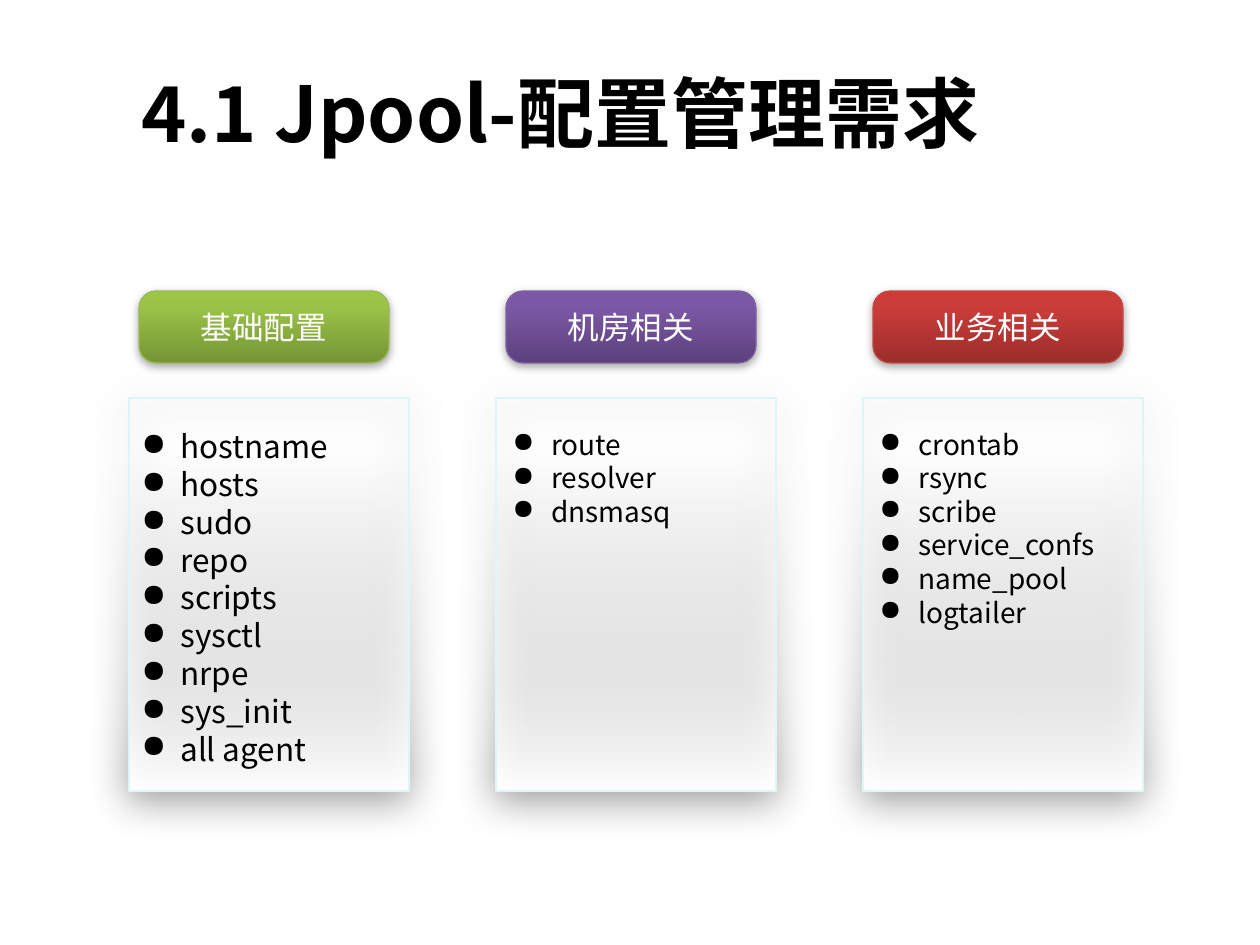
from dataclasses import dataclass

from lxml.etree import SubElement
from pptx import Presentation
from pptx.dml.color import RGBColor
from pptx.enum.shapes import MSO_SHAPE
from pptx.enum.text import MSO_ANCHOR, MSO_AUTO_SIZE, PP_ALIGN
from pptx.oxml import parse_xml
from pptx.oxml.ns import nsdecls, qn
from pptx.util import Emu, Pt

PX = 914400 / 126
FONT = "Noto Sans CJK SC"
COLUMN_LEFT, COLUMN_STEP = 129, 367


@dataclass(frozen=True)
class Stop:
    """One gradient stop, with position and opacity in percent."""
    position: int
    color: str
    opacity: int = 100


@dataclass(frozen=True)
class Style:
    """Gradient, outline and shadow of a shape."""
    stops: tuple[Stop, ...]
    angle: int
    line: str
    line_width: float
    shadow: tuple[int, float, float, int]


@dataclass(frozen=True)
class Column:
    """A heading with its list of items."""
    heading: str
    items: tuple[str, ...]
    size: int
    indent: int
    list_height: int
    gradient: tuple[str, str, str]
    line: str


PANEL = Style((Stop(12, "FFFFFF", 0), Stop(72, "FFFFFF", 55), Stop(100, "FFFFFF")),
              90, "DFF6F8", 1.25, (41, 23, 5, 96))
COLUMNS = (
    Column("基础配置", ("hostname", "hosts", "sudo", "repo", "scripts", "sysctl",
                    "nrpe", "sys_init", "all agent"),
           18, 0, 357, ("769535", "9BC348", "9CC746"), "98B954"),
    Column("机房相关", ("route", "resolver", "dnsmasq"),
           16, 4, 183, ("5D417E", "7B58A6", "7B57A8"), "7D60A0"),
    Column("业务相关", ("crontab", "rsync", "scribe", "service_confs", "name_pool", "logtailer"),
           16, 4, 251, ("9B2D2A", "CB3D3A", "CE3B37"), "BE4B48"),
)


def px(*lengths: int) -> list[Emu]:
    """Turn pixel lengths into EMU."""
    return [Emu(round(length * PX)) for length in lengths]


def color(value: str) -> RGBColor:
    """Turn a hex string into a colour."""
    return RGBColor.from_string(value)


def write(paragraph, text: str, size: int, tint: str, bold: bool = False) -> None:
    """Add one formatted span to a paragraph."""
    span = paragraph.add_run()
    span.text = text
    for name, value in {"name": FONT, "size": Pt(size), "bold": bold}.items():
        setattr(span.font, name, value)
    span.font.color.rgb = color(tint)
    SubElement(span.font._element, qn("a:ea")).set("typeface", FONT)


def add_text_box(page, area: tuple[int, int, int, int]):
    """Add a wrapping text box and return its frame."""
    frame = page.shapes.add_textbox(*px(*area)).text_frame
    for name, value in {"word_wrap": True, "auto_size": MSO_AUTO_SIZE.SHAPE_TO_FIT_TEXT}.items():
        setattr(frame, name, value)
    return frame


def add_block(page, area: tuple[int, int, int, int], rounding: float, style: Style):
    """Add a rounded rectangle with gradient, outline and shadow."""
    block = page.shapes.add_shape(MSO_SHAPE.ROUNDED_RECTANGLE, *px(*area))
    block.adjustments[0] = rounding
    block.line.color.rgb = color(style.line)
    block.line.width = Pt(style.line_width)
    stops = "".join(
        f'<a:gs pos="{stop.position * 1000}"><a:srgbClr val="{stop.color}">'
        f'<a:alpha val="{stop.opacity * 1000}"/></a:srgbClr></a:gs>'
        for stop in style.stops)
    properties = block._element.spPr
    properties.find(qn("a:prstGeom")).addnext(parse_xml(
        f'<a:gradFill {nsdecls("a")} rotWithShape="1"><a:gsLst>{stops}</a:gsLst>'
        f'<a:lin ang="{style.angle * 60000}" scaled="0"/></a:gradFill>'))
    opacity, blur, distance, direction = style.shadow
    properties.find(qn("a:ln")).addnext(parse_xml(
        f'<a:effectLst {nsdecls("a")}><a:outerShdw blurRad="{Pt(blur)}" dist="{Pt(distance)}" '
        f'dir="{direction * 60000}" rotWithShape="0"><a:srgbClr val="000000">'
        f'<a:alpha val="{opacity * 1000}"/></a:srgbClr></a:outerShdw></a:effectLst>'))
    return block


def add_list(page, area: tuple[int, int, int, int], column: Column) -> None:
    """Add the bulleted items of a column."""
    frame = add_text_box(page, area)
    for index, item in enumerate(column.items):
        paragraph = frame.add_paragraph() if index else frame.paragraphs[0]
        properties = paragraph._p.get_or_add_pPr()
        indent = px(39)[0]
        properties.set("marL", str(indent))
        properties.set("indent", str(-indent))
        SubElement(properties, qn("a:buChar")).set("char", "●")
        write(paragraph, item, column.size, "000000")


def add_column(page, left: int, column: Column) -> None:
    """Draw the panel, list and heading of one column."""
    add_block(page, (left, 398, 280, 393), 0, PANEL)
    add_list(page, (left + column.indent, 421, 276, column.list_height), column)
    stops = tuple(Stop(position, tint) for position, tint in zip((0, 80, 100), column.gradient))
    style = Style(stops, 270, column.line, 0.75, (35, 5, 1.8, 90))
    frame = add_block(page, (left + 10, 291, 250, 72), 0.24, style).text_frame
    frame.vertical_anchor = MSO_ANCHOR.MIDDLE
    paragraph = frame.paragraphs[0]
    paragraph.alignment = PP_ALIGN.CENTER
    write(paragraph, column.heading, 18, "FFFFFF")


def main() -> None:
    """Build and save the slide."""
    deck = Presentation()
    deck.slide_width, deck.slide_height = px(1260, 945)
    page = deck.slides.add_slide(deck.slide_layouts[6])
    title = add_text_box(page, (129, 59, 1061, 106))
    write(title.paragraphs[0], "4.1 Jpool-配置管理需求", 44, "000000", True)
    for index, column in enumerate(COLUMNS):
        add_column(page, COLUMN_LEFT + index * COLUMN_STEP, column)
    deck.save("out.pptx")


if __name__ == "__main__":
    main()
